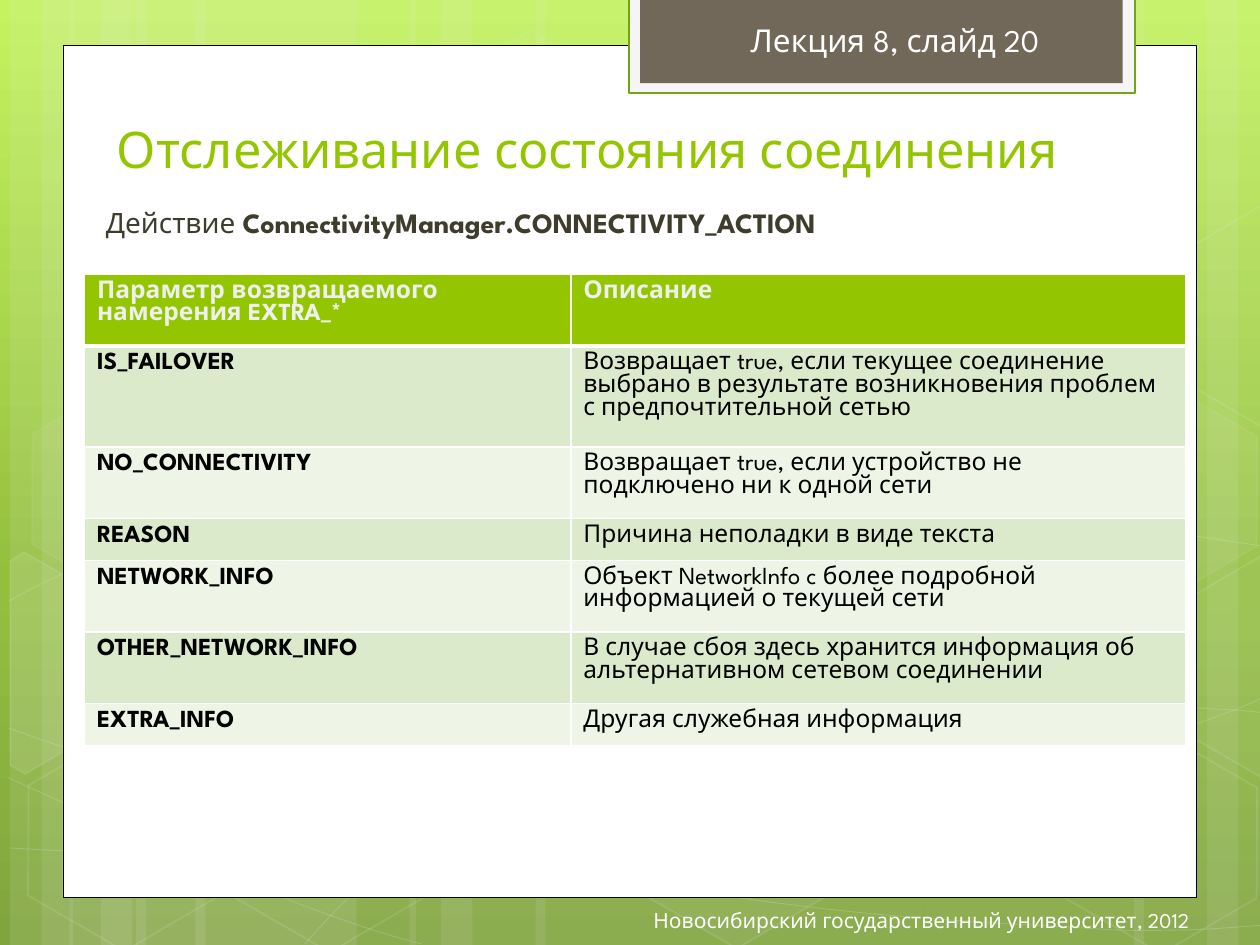
import math
from copy import deepcopy
from lxml import etree
from pptx import Presentation, util as u
from pptx.dml.color import RGBColor
from pptx.enum import shapes, text
from pptx.oxml import ns

FONT = "League Spartan"
PALE, WHITE, LIME = "EFEFEF", "FFFFFF", "94C600"

prs = Presentation()
prs.slide_width, prs.slide_height = u.Inches(10), u.Inches(7.5)
# Grid of 10 columns by 7.5 rows
COL, ROW = prs.slide_width / 10, prs.slide_height / 7.5
s = prs.slides.add_slide(prs.slide_layouts[6])


def rgb(hex_color):
    return RGBColor.from_string(hex_color)


def style(sp, fill=None, line=None, width=1, fill_alpha=100, line_alpha=100):
    """Set fill, outline and their opacity in percent; None means no paint."""
    sp.shadow.inherit = False
    for part, color in ((sp.fill, fill), (sp.line.fill, line)):
        if color:
            part.solid()
            part.fore_color.rgb = rgb(color)
        else:
            part.background()
    if line:
        sp.line.width = u.Pt(width)
    for where, alpha in (("", fill_alpha), ("a:ln/", line_alpha)):
        for clr in sp.element.xpath(f"./p:spPr/{where}a:solidFill/a:srgbClr"):
            if alpha < 100:
                etree.SubElement(clr, ns.qn("a:alpha")).set("val", str(alpha * 1000))


# Background gradient
bg = s.background.fill
bg.gradient()
bg.gradient_angle = 270
stop_list = s.element.xpath(".//a:gsLst")[0]
stop_list.append(deepcopy(stop_list[0]))
for stop, (pos, color) in zip(bg.gradient_stops,
                              ((0, "C3F35F"), (0.62, "93BF3F"), (1, "81A53E"))):
    stop.position = pos
    stop.color.rgb = rgb(color)

# Vertical translucent bars: left, width
bars = [(1.08, 1.75), (0.08, 0.5), (0.33, 0.83), (1.55, 1.75), (0.55, 0.5), (0.8, 0.83),
        (7.33, 1.75), (9.58, 0.5), (9, 0.83), (4.25, 3.08), (3.25, 0.5), (3.5, 0.83)]
for x, w in bars:
    sp = s.shapes.add_shape(shapes.MSO_SHAPE.RECTANGLE, int(x * COL), 0,
                            int(w * COL), prs.slide_height)
    style(sp, PALE, fill_alpha=10)

# Thin waves: Bezier chains, each a start followed by triples of control points
waves = [
    [(0.07, 6.73), (0.61, 6.76), (1.15, 6.79), (1.9, 6.78), (2.65, 6.77), (3.58, 6.75),
     (4.58, 6.65), (5.58, 6.55), (7, 6.36), (7.92, 6.17), (8.83, 5.98), (9.77, 5.68),
     (10.07, 5.51)],
    [(0.07, 4.77), (0.36, 4.61), (0.65, 4.46), (1.21, 4.31), (1.78, 4.16), (2.59, 3.94),
     (3.47, 3.87), (4.36, 3.8), (5.44, 3.79), (6.54, 3.87), (7.64, 3.95), (9.47, 4.26),
     (10.07, 4.34)],
    [(0.06, 6.17), (1.27, 6.72), (2.47, 7.27), (3.34, 7.49)],
    [(0.07, 5.78), (0.38, 5.89), (0.7, 6), (1.28, 6.16), (1.86, 6.31), (2.73, 6.56),
     (3.57, 6.73), (4.4, 6.9), (5.45, 7.08), (6.28, 7.18), (7.11, 7.29), (8, 7.33),
     (8.53, 7.36), (9.05, 7.4), (9.19, 7.38), (9.45, 7.38), (9.71, 7.37), (9.89, 7.35),
     (10.07, 7.34)],
    [(2.42, 7.49), (2.6, 7.29), (2.78, 7.09), (3.02, 6.91), (3.26, 6.73), (3.6, 6.53),
     (3.88, 6.39), (4.16, 6.25), (4.33, 6.19), (4.7, 6.09), (5.06, 5.99), (5.73, 5.85),
     (6.08, 5.78), (6.44, 5.71), (6.49, 5.71), (6.8, 5.69), (7.11, 5.66), (7.6, 5.63),
     (7.94, 5.62), (8.29, 5.61), (8.86, 5.62), (8.86, 5.62), (9.08, 5.62), (9.31, 5.62),
     (9.53, 5.62), (9.71, 5.63), (9.88, 5.64), (9.97, 5.65), (10.06, 5.66), (10.03, 5.65),
     (10.06, 5.66)],
]
for wave in waves:
    points = [(x * COL, y * ROW) for x, y in wave]
    fb = s.shapes.build_freeform(*points[0])
    fb.add_line_segments(points[1:], close=False)
    sp = fb.convert_to_shape()
    # Every three line ends become one curve
    segments = sp.element.xpath(".//a:lnTo")
    for i in range(0, len(segments), 3):
        segments[i].addprevious(curve := etree.Element(ns.qn("a:cubicBezTo")))
        for segment in segments[i:i + 3]:
            curve.append(segment[0])
            segment.getparent().remove(segment)
    style(sp, line=PALE, width=0.5, line_alpha=20)

# Honeycomb: left, top, fill opacity, line opacity
hexagons = [(3.34, 0.36, 4, 8), (4.97, 5.89, 6, 12), (0.11, 5.91, 0, 12),
            (0.14, 3.12, 7, 8), (1.74, 5.92, 0, 12), (7.53, 4.53, 10, 12),
            (8.34, 5.93, 0, 12), (8.34, 3.14, 7, 8)]
for x, y, fill_alpha, line_alpha in hexagons:
    sp = s.shapes.add_shape(shapes.MSO_SHAPE.HEXAGON, int(x * COL), int(y * ROW),
                            int(1.75 * COL), int(1.52 * ROW))
    sp.rotation = 30
    sp.adjustments[0] = 0.285
    style(sp, PALE if fill_alpha else None, PALE, 1, fill_alpha, line_alpha)

# Hexagons cut by the slide's edges: centre, fill opacity, corners as they land on the slide
cut_hexagons = [
    (0.36, 5.35, 10, [(0.08, 4.45), (0.19, 4.38), (0.96, 4.82), (0.95, 5.7), (0.2, 6.14),
                      (0.08, 6.07)]),
    (9.85, 5.2, 4, [(9.26, 4.85), (10.01, 4.41), (10.09, 4.46), (10.09, 6.13), (10.02, 6.17),
                    (9.26, 5.73)]),
    (9.85, 2.41, 0, [(9.26, 2.07), (10.01, 1.63), (10.1, 1.68), (10.09, 3.35), (10.02, 3.39),
                     (9.26, 2.95)]),
]
cos, sin = math.cos(math.radians(30)), math.sin(math.radians(30))
for cx, cy, fill_alpha, corners in cut_hexagons:
    upright = [((cx + (x - cx) * cos + (y - cy) * sin) * COL,
                (cy - (x - cx) * sin + (y - cy) * cos) * ROW) for x, y in corners]
    fb = s.shapes.build_freeform(*upright[0])
    fb.add_line_segments(upright[1:], close=True)
    sp = fb.convert_to_shape()
    sp.rotation = 30
    style(sp, PALE if fill_alpha else None, PALE, 1, fill_alpha, 12)

# Content card and lecture tab
panels = [((0.5, 0.36, 9, 6.76), WHITE, "000000", 0.5),
          ((4.99, -0.02, 4.02, 0.76), "F5F5F5", "74A510", 1.25),
          ((5.08, -0.02, 3.83, 0.68), "71685A", None, 0)]
for (x, y, w, h), fill, line, width in panels:
    sp = s.shapes.add_shape(shapes.MSO_SHAPE.RECTANGLE, int(x * COL), int(y * ROW),
                            int(w * COL), int(h * ROW))
    style(sp, fill, line, width)

# Text boxes: box, size, colour, alignment, frame format, (text, bold) runs
LEFT, RIGHT = text.PP_ALIGN.LEFT, text.PP_ALIGN.RIGHT
boxes = [
    ((0.83, 0.92, 8.19, 0.55), 28.8, LIME, LEFT,
     {"vertical_anchor": text.MSO_ANCHOR.BOTTOM},
     [("Отслеживание состояния соединения", False)]),
    ((5.86, 0.12, 2.59, 0.4), 18, WHITE, LEFT, {"word_wrap": False},
     [("Лекция 8, слайд 20", False)]),
    ((3.11, 7.1, 6.43, 0.4), 12, WHITE, RIGHT,
     {"vertical_anchor": text.MSO_ANCHOR.MIDDLE},
     [("Новосибирский государственный университет, 2012", False)]),
    ((0.67, 1.58, 8.74, 0.39), 16, "3E3D2D", LEFT, {"margin_left": u.Inches(0.17)},
     [("Действие ", False), ("ConnectivityManager.CONNECTIVITY_ACTION", True)]),
]
for (x, y, w, h), size, color, align, frame, runs in boxes:
    tf = s.shapes.add_textbox(int(x * COL), int(y * ROW), int(w * COL), int(h * ROW)).text_frame
    for name, value in {"word_wrap": True, **frame}.items():
        setattr(tf, name, value)
    p = tf.paragraphs[0]
    p.alignment = align
    for words, bold in runs:
        r = p.add_run()
        r.text = words
        for name, value in {"name": FONT, "size": u.Pt(size), "bold": bold}.items():
            setattr(r.font, name, value)
        r.font.color.rgb = rgb(color)

# Table of intent extras: least height, parameter, description
rows = [
    (0.41, "Параметр возвращаемого намерения EXTRA_*", "Описание"),
    (0.4, "IS_FAILOVER", "Возвращает true, если текущее соединение выбрано в результате "
                         "возникновения проблем с предпочтительной сетью"),
    (0.31, "NO_CONNECTIVITY", "Возвращает true, если устройство не подключено ни к одной сети"),
    (0.32, "REASON", "Причина неполадки в виде текста"),
    (0.32, "NETWORK_INFO", "Объект NetworkInfo c более подробной информацией о текущей сети"),
    (0.32, "OTHER_NETWORK_INFO", "В случае сбоя здесь хранится информация об альтернативном "
                                 "сетевом соединении"),
    (0.32, "EXTRA_INFO", "Другая служебная информация"),
]
table = s.shapes.add_table(len(rows), 2, int(0.67 * COL), int(2.18 * ROW), int(8.74 * COL),
                           int(3.73 * ROW)).table
for column, w in zip(table.columns, (3.86, 4.88)):
    column.width = int(w * COL)
for i, (h, *words) in enumerate(rows):
    table.rows[i].height = int(h * ROW)
    for j, word in enumerate(words):
        cell = table.cell(i, j)
        tc_pr = cell._tc.get_or_add_tcPr()
        for side in "LRTB":
            thick = (i, side) in ((0, "B"), (1, "T"))
            ln = etree.SubElement(tc_pr, ns.qn(f"a:ln{side}"), w=str(u.Pt(3 if thick else 1)))
            paint = etree.SubElement(ln, ns.qn("a:solidFill"))
            etree.SubElement(paint, ns.qn("a:srgbClr"), val=WHITE)
        cell.fill.solid()
        cell.fill.fore_color.rgb = rgb(LIME if i == 0 else ("EEF5E7", "DCEACC")[i % 2])
        r = cell.text_frame.paragraphs[0].add_run()
        r.text = word
        for name, value in {"name": FONT, "size": u.Pt(14), "bold": i == 0 or j == 0}.items():
            setattr(r.font, name, value)
        r.font.color.rgb = rgb("000000" if i else PALE)

prs.save("out.pptx")
